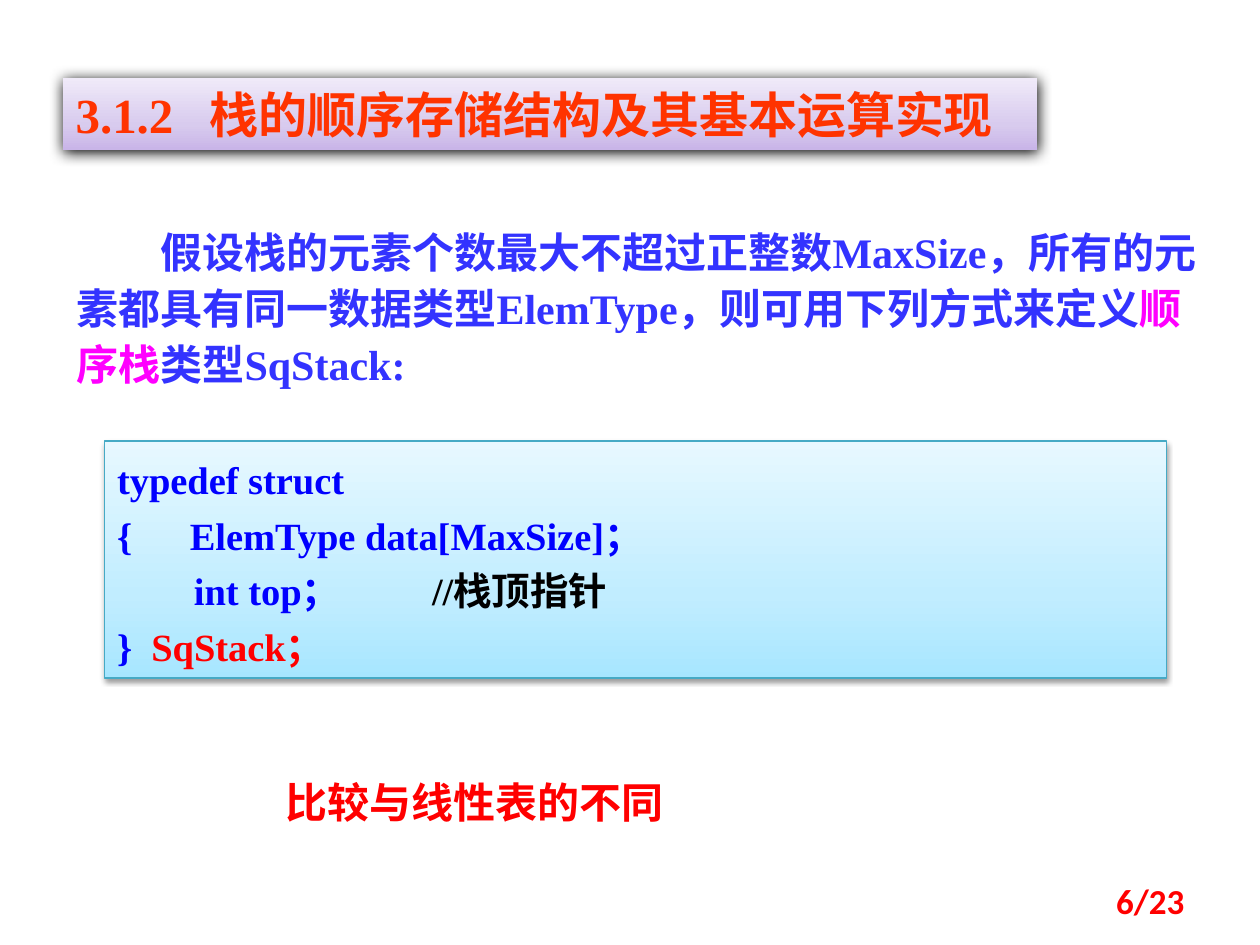
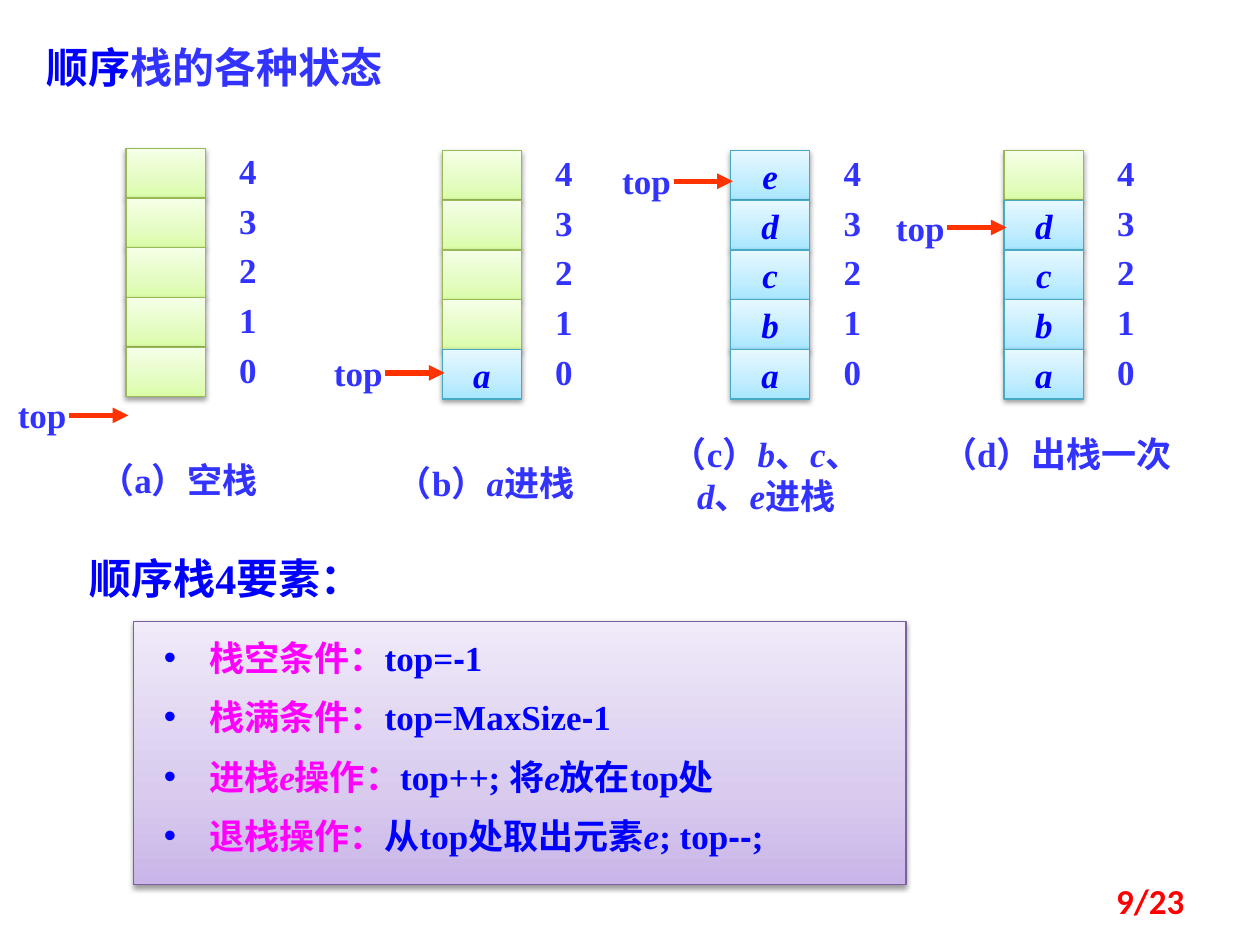
from copy import deepcopy

from lxml import etree
from pptx import Presentation
from pptx.dml.color import RGBColor
from pptx.enum.lang import MSO_LANGUAGE_ID
from pptx.enum.shapes import MSO_CONNECTOR, MSO_SHAPE
from pptx.enum.text import MSO_ANCHOR, MSO_AUTO_SIZE, PP_ALIGN
from pptx.oxml.ns import qn
from pptx.util import Pt

LEFT, CENTER, RIGHT = PP_ALIGN.LEFT, PP_ALIGN.CENTER, PP_ALIGN.RIGHT
TOP, MIDDLE = MSO_ANCHOR.TOP, MSO_ANCHOR.MIDDLE
RECT, STRAIGHT, NO_FIT = MSO_SHAPE.RECTANGLE, MSO_CONNECTOR.STRAIGHT, MSO_AUTO_SIZE.NONE
CHINESE = MSO_LANGUAGE_ID.SIMPLIFIED_CHINESE

BLUE, INDIGO, RED = "0000FF", "3333FF", "FF0000"
ORANGE, MAGENTA, BLACK = "FF3300", "FF00FF", "000000"
PURPLE_FADE = ("C9B5E8", "D8CBEE", "F0EAF9")
CYAN_FADE = ("A7E6FF", "C1EDFF", "E7F8FF")
GREEN_FADE = ("DAFDA7", "E4FCC2", "F5FFE7")
PURPLE_LINE, CYAN_LINE, GREEN_LINE = "7D60A0", "46AAC5", "98B955"
SOFT_SHADOW, STRONG_SHADOW = (38, 3.1, 1.6), (100, 8.5, 1)
ITALIC = {"italic": True}
PINK = {"color": MAGENTA}
MINUS = {"name": "Arial"}
PADDED = (17.3, 8.6, 11.5, 8.6)
CELL_W, CELL_H, CELLS = 45.4, 28.4, 5


def rgb(value):
    """Turn a hex string into a colour."""
    return RGBColor.from_string(value)


def add_element(parent, tag, **attrs):
    """Append a drawing element with the given attributes."""
    return etree.SubElement(parent, qn(tag), {k: str(v) for k, v in attrs.items()})


def write(sp, paragraphs, size=20, color=INDIGO, align=LEFT, anchor=TOP, wrap=True,
          margins=(7.2, 3.6, 7.2, 3.6), spacing=None, before=0, setup=None, **base):
    """Fill a shape with paragraphs made of (text, format) runs."""
    tf = sp.text_frame
    sides = zip(("left", "top", "right", "bottom"), margins)
    frame = {"auto_size": NO_FIT, "word_wrap": wrap, "vertical_anchor": anchor}
    frame.update({f"margin_{side}": Pt(value) for side, value in sides})
    for key, value in frame.items():
        setattr(tf, key, value)
    for i, runs in enumerate(paragraphs):
        p = tf.add_paragraph() if i else tf.paragraphs[0]
        if setup:
            setup(p)
        p.alignment = align
        if spacing:
            p.line_spacing = spacing
        if i and before:
            p.space_before = Pt(before)
        for text, extra in runs:
            r = p.add_run()
            r.text = text
            fmt = {"size": Pt(size), "name": "Times New Roman", "bold": True,
                   "language_id": CHINESE, "color": color, **base, **extra}
            r.font.color.rgb = rgb(fmt.pop("color"))
            for key, value in fmt.items():
                setattr(r.font, key, value)


def add_text(s, box, paragraphs, **fmt):
    """Add a text box."""
    write(s.shapes.add_textbox(*map(Pt, box)), paragraphs, **fmt)


def paint(sp, fade, line=None, shadow=SOFT_SHADOW):
    """Give a shape an upward gradient, an outline and a shadow."""
    sp.fill.gradient()
    sp.fill.gradient_angle = 90
    stops = sp.element.spPr.find(".//" + qn("a:gsLst"))
    stops.append(deepcopy(stops[-1]))
    for stop, position, color in zip(sp.fill.gradient_stops, (0, 0.35, 1), fade):
        stop.position = position
        stop.color.rgb = rgb(color)
    if line:
        sp.line.color.rgb = rgb(line)
        sp.line.width = Pt(0.75)
    else:
        sp.line.fill.background()
    sp.shadow.inherit = False
    alpha, blur, dist = shadow
    outer = add_element(sp.element.spPr.find(qn("a:effectLst")), "a:outerShdw",
                        blurRad=Pt(blur), dist=Pt(dist), dir=5400000, rotWithShape=0)
    black = add_element(outer, "a:srgbClr", val=BLACK)
    add_element(black, "a:alpha", val=alpha * 1000)


def add_panel(s, box, fade, line):
    """Add a shaded rectangle."""
    sp = s.shapes.add_shape(RECT, *map(Pt, box))
    paint(sp, fade, line)
    return sp


def add_slide(prs, title_box, title, page, **fmt):
    """Add a slide with its title and page number, and return both objects."""
    s = prs.slides.add_slide(prs.slide_layouts[5])
    sp = s.shapes.title
    sp.left, sp.top, sp.width, sp.height = map(Pt, title_box)
    write(sp, [title], **fmt)
    add_text(s, (516.2, 500.4, 167.8, 28.8), [[(f"{page}/23", {})]],
             color=RED, align=RIGHT, anchor=MIDDLE, name="Calibri")
    return s, sp


def title_tab(p):
    """Set the tab between the section number and its name."""
    tabs = add_element(p._p.get_or_add_pPr(), "a:tabLst")
    add_element(tabs, "a:tab", pos=Pt(76.8), algn="l")


def first_line(p):
    """Indent the first line by two characters."""
    p._p.get_or_add_pPr().set("indent", str(Pt(48)))


def bullet(p):
    """Give a paragraph a blue hanging bullet."""
    pPr = p._p.get_or_add_pPr()
    pPr.set("marL", str(Pt(26)))
    pPr.set("indent", str(Pt(-26)))
    add_element(add_element(pPr, "a:buClr"), "a:srgbClr", val=BLUE)
    add_element(pPr, "a:buFont", typeface="Arial")
    add_element(pPr, "a:buChar", char="•")


def add_top_pointer(s, x, y):
    """Draw the top label and an arrow that ends just inside the stack at x."""
    line = s.shapes.add_connector(STRAIGHT, Pt(x - 32.4), Pt(y), Pt(x + 1.4), Pt(y))
    line.line.color.rgb = rgb(ORANGE)
    line.line.width = Pt(3)
    add_element(line.line._get_or_add_ln(), "a:tailEnd", type="triangle")
    add_element(line._element.spPr, "a:effectLst")
    add_text(s, (x - 70.6, y - 15.8, 45.4, 31), [[("top", {})]], align=CENTER)


def add_stack(s, x, y, items, pointer, caption_box, caption):
    """Draw a stack at x, y with its indexes, pointer and caption."""
    for row in range(CELLS):
        index = CELLS - 1 - row
        top = y + row * CELL_H
        filled = index < len(items)
        look = (CYAN_FADE, CYAN_LINE) if filled else (GREEN_FADE, GREEN_LINE)
        sp = add_panel(s, (x, top, CELL_W, CELL_H), *look)
        if filled:
            write(sp, [[(items[index], ITALIC)]], color=BLUE, align=CENTER,
                  anchor=MIDDLE, wrap=False)
        add_text(s, (x + 52.6, top - 3, 34, 31), [[(str(index), {})]], align=CENTER)
    add_top_pointer(s, x, y + pointer)
    dx, dy, w, h = caption_box
    add_text(s, (x + dx, y + dy, w, h), [caption], align=CENTER)


def definition_slide(prs):
    """Build the slide that defines the stack type."""
    s, title = add_slide(prs, (36, 44.6, 556.6, 41), [("3.1.2\t栈的顺序存储结构及其基本运算实现", {})],
                         6, size=28, color=ORANGE, setup=title_tab)
    paint(title, PURPLE_FADE, shadow=STRONG_SHADOW)
    add_text(s, (36.7, 122.4, 657.4, 104.4), [[
        ("假设栈的元素个数最大不超过正整数MaxSize，所有的元素都具有同一数据类型ElemType，"
         "则可用下列方式来定义", {}),
        ("顺序栈", PINK), ("类型SqStack:", {})]],
        size=24, spacing=Pt(32), setup=first_line)
    code = add_panel(s, (59.8, 252, 607, 135.4), CYAN_FADE, CYAN_LINE)
    write(code, [
        [("typedef struct", {})],
        [("{      ElemType data[MaxSize]；", {})],
        [("        int top；\t\t", {}), ("//栈顶指针", {"color": BLACK})],
        [("}  ", {}), ("SqStack；", {"color": RED})],
    ], size=22, color=BLUE, spacing=1.2)
    add_text(s, (156, 434.2, 232, 41.8), [[("比较与线性表的不同", {})]],
             size=24, color=RED, wrap=False, spacing=1.2)


def states_slide(prs):
    """Build the slide that shows the stack states and the four elements."""
    s, _ = add_slide(prs, (19.4, 20.2, 244.8, 36),
                     [("顺序", {"color": BLUE}), ("栈的各种状态", {"name": "Noto Sans CJK SC"})],
                     9, size=24)
    add_text(s, (33.8, 307.4, 202.3, 46), [[("顺序栈4要素：", {})]],
             size=24, color=BLUE, margins=PADDED)
    pushes = [("（c）", {}), ("b", ITALIC), ("、", {}), ("c", ITALIC), ("、", {}),
              ("d", ITALIC), ("、", {}), ("e", ITALIC), ("进栈", {})]
    stacks = [
        (72, 84.8, "", 152.6, (-26.6, 173.7, 113, 31), [("（a）空栈", {})]),
        (252.7, 86, "a", 127.1, (-43.2, 174, 136, 31),
         [("（b）", {}), ("a", ITALIC), ("进栈", {})]),
        (417.4, 86, "abcde", 17.6, (-43.2, 157.4, 127.4, 55.4), pushes),
        (573.8, 86, "abcd", 44, (-43.2, 157.4, 147, 31), [("（d）出栈一次", {})]),
    ]
    for stack in stacks:
        add_stack(s, *stack)
    panel = add_panel(s, (76.3, 355, 441.4, 150.5), PURPLE_FADE, PURPLE_LINE)
    write(panel, [
        [("栈空条件：", PINK), ("top=", {}), ("-", MINUS), ("1", {})],
        [("栈满条件：", PINK), ("top=MaxSize", {}), ("-", MINUS), ("1", {})],
        [("进栈", PINK), ("e", {**PINK, **ITALIC}), ("操作：", PINK),
         ("top++; 将", {}), ("e", ITALIC), ("放在top处", {})],
        [("退栈操作：", PINK), ("从top处取出元素", {}), ("e", ITALIC), ("; top", {}),
         ("--", MINUS), (";", {})],
    ], color=BLUE, margins=PADDED, before=10, setup=bullet)


def main():
    """Build and save the presentation."""
    prs = Presentation()
    prs.slide_width, prs.slide_height = Pt(720), Pt(540)
    definition_slide(prs)
    states_slide(prs)
    prs.save("out.pptx")


if __name__ == "__main__":
    main()
